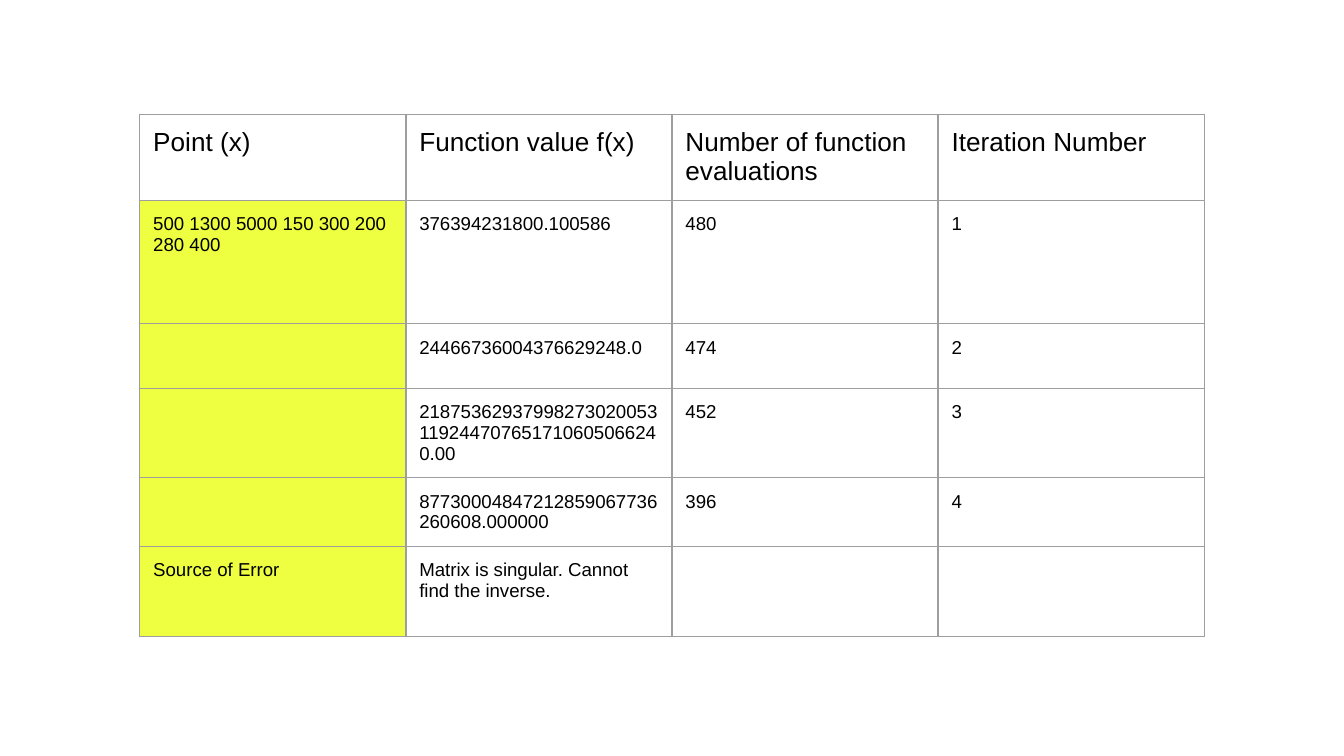
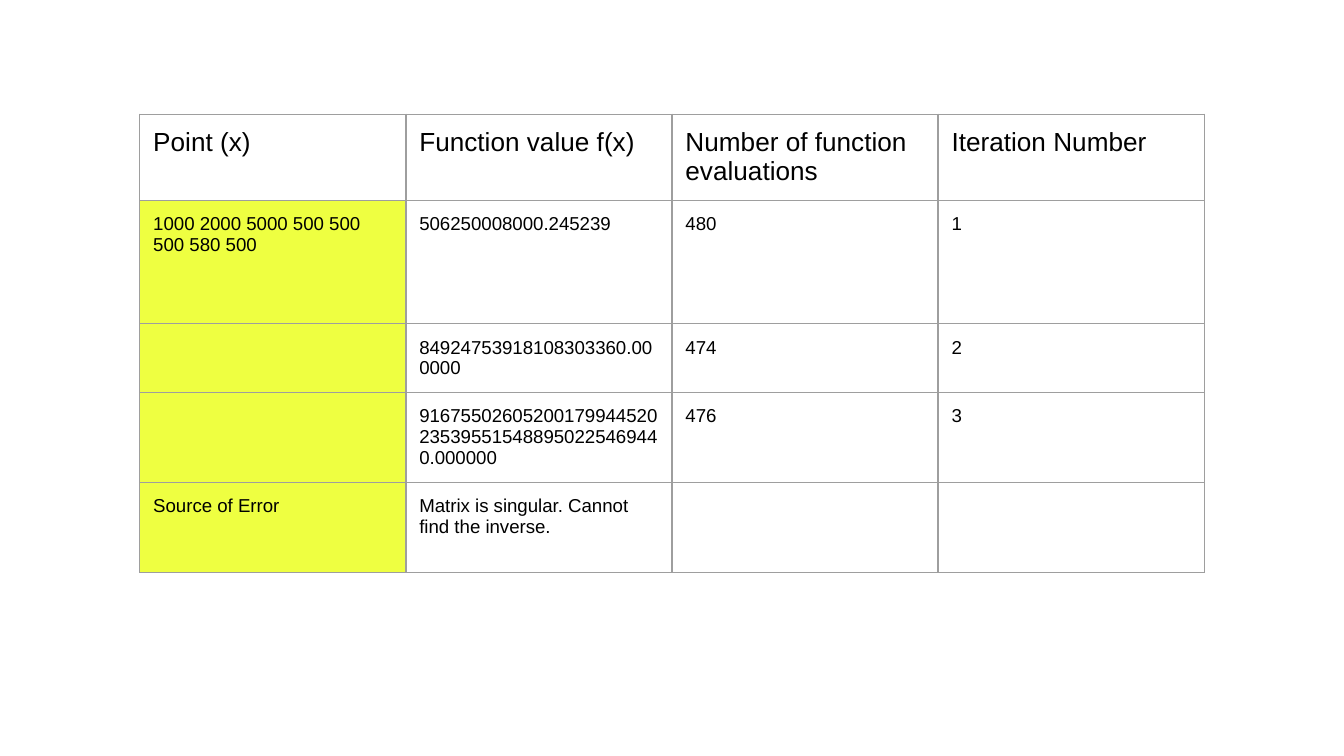
from lxml import etree
from pptx import Presentation
from pptx.dml.color import RGBColor
from pptx.oxml import ns
from pptx.util import Inches, Pt

FONT = "Arial"
INK, GRID, MARK = "000000", "9E9E9E", "EEFF41"
LEFT, TOP, COL, PAD = 1.04, 0.85, 1.98, 0.1
HEAD = ["Point (x)", "Function value f(x)",
        "Number of function evaluations", "Iteration Number"]
FAIL = ["Source of Error", "Matrix is singular. Cannot find the inverse.", "", ""]

# Each run: start point, steps (value, evaluations), row heights
RUNS = [
    ("500 1300 5000 150 300 200 280 400",
     [("376394231800.100586", 480),
      ("24466736004376629248.0", 474),
      ("21875362937998273020053119244707651710605066240.00", 452),
      ("87730004847212859067736260608.000000", 396)],
     [0.64, 0.92, 0.48, 0.66, 0.51, 0.67]),
    ("1000 2000 5000 500 500 500 580 500",
     [("506250008000.245239", 480),
      ("84924753918108303360.000000", 474),
      ("91675502605200179944520235395515488950225469440.000000", 476)],
     [0.64, 0.92, 0.51, 0.67, 0.67]),
]


def color(code):
    return RGBColor.from_string(code)


def edge(cell):
    """Draw a thin line on all four sides of a cell."""
    props = cell._tc.get_or_add_tcPr()
    for side in ("lnL", "lnR", "lnT", "lnB"):
        line = etree.SubElement(props, ns.qn("a:" + side), w=str(Pt(0.75)))
        fill = etree.SubElement(line, ns.qn("a:solidFill"))
        etree.SubElement(fill, ns.qn("a:srgbClr"), val=GRID)


def dress(cell, words, size, mark):
    edge(cell)
    if mark:
        cell.fill.solid()
        cell.fill.fore_color.rgb = color(MARK)
    else:
        cell.fill.background()
    cell.margin_left = cell.margin_right = Inches(PAD)
    cell.margin_top = cell.margin_bottom = Inches(PAD)
    para = cell.text_frame.paragraphs[0]
    if not words:
        # Keeps an empty cell from stretching its row
        etree.SubElement(para._p, ns.qn("a:endParaRPr"), sz=str(size * 100))
        return
    para.text = words
    for run in para.runs:
        run.font.name = FONT
        run.font.size = Pt(size)
        run.font.color.rgb = color(INK)


def grid(slide, left, top, rows, tall):
    """Place a table whose first column is marked below its heading."""
    count = len(rows[0])
    table = slide.shapes.add_table(
        len(rows), count, Inches(left), Inches(top),
        Inches(COL * count), Inches(sum(tall))).table
    table.first_row = table.horz_banding = False
    for col in table.columns:
        col.width = Inches(COL)
    for r, (row, high) in enumerate(zip(rows, tall)):
        table.rows[r].height = Inches(high)
        for c, words in enumerate(row):
            dress(table.cell(r, c), words, 10 if r else 14, r > 0 and c == 0)


def main():
    deck = Presentation()
    deck.slide_width = Inches(10)
    deck.slide_height = deck.slide_width * 9 // 16
    for start, steps, tall in RUNS:
        body = [[start if n == 1 else "", value, str(calls), str(n)]
                for n, (value, calls) in enumerate(steps, 1)]
        slide = deck.slides.add_slide(deck.slide_layouts[6])
        grid(slide, LEFT, TOP, [HEAD, *body, FAIL], tall)
    deck.save("out.pptx")


if __name__ == "__main__":
    main()
